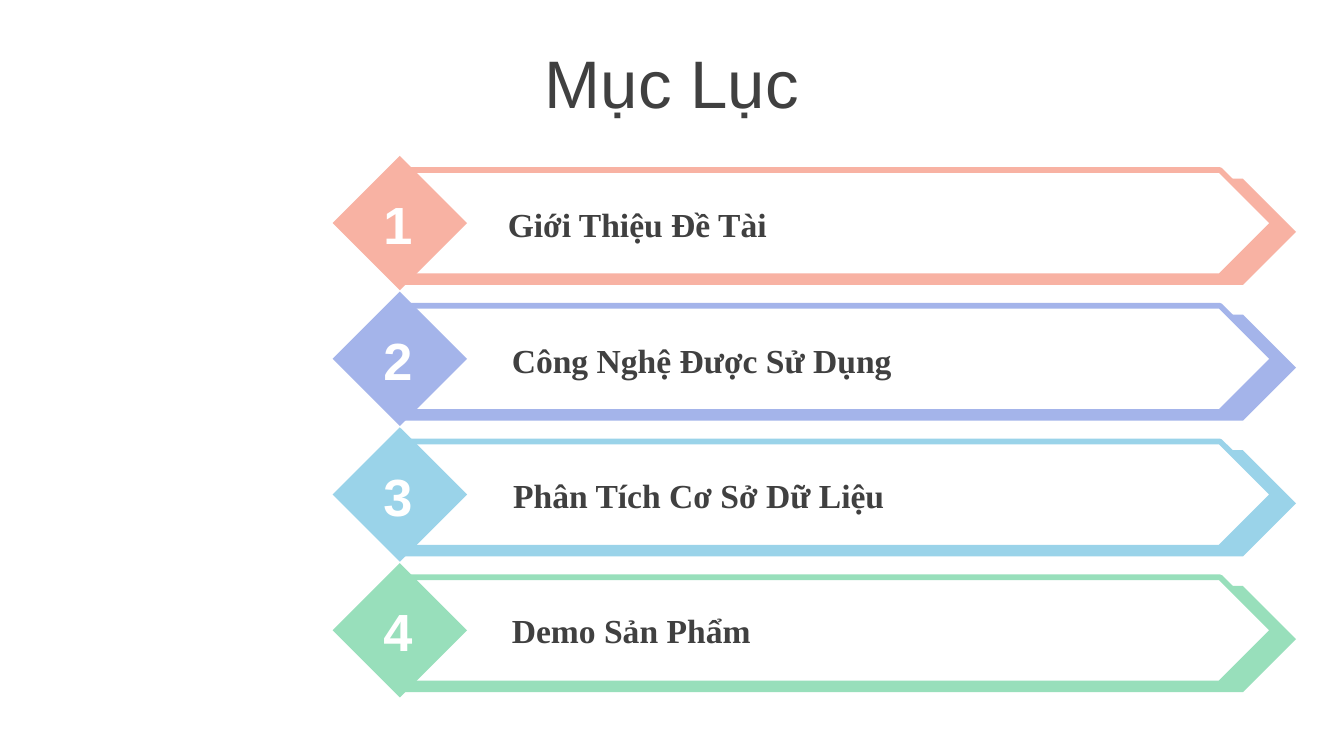
from dataclasses import dataclass

from pptx import Presentation
from pptx.dml.color import RGBColor as Rgb
from pptx.enum.shapes import MSO_SHAPE as Kind
from pptx.enum.text import MSO_ANCHOR as Anchor, PP_ALIGN as Align
from pptx.util import Inches, Pt


@dataclass(frozen=True)
class Theme:
    ink: str = "404040"
    white: str = "FFFFFF"
    tints: tuple = ("F8B2A3", "A4B4EA", "9AD3E9", "98DFBB")
    sans: str = "Arial"
    serif: str = "Times New Roman"
    title: int = 36
    digit: int = 28
    label: int = 18
    edge: int = 3


class Deck:
    """Places elements on a grid of square cells, 100 to the slide's width."""

    def __init__(self, theme):
        self.theme = theme
        self.prs = Presentation()
        self.prs.slide_width = Inches(10)
        self.prs.slide_height = Inches(10) * 9 // 16
        self.cell = self.prs.slide_width / 100
        self.slide = self.prs.slides.add_slide(self.prs.slide_layouts[6])

    def box(self, *cells):
        return [round(n * self.cell) for n in cells]

    def group(self):
        return self.slide.shapes.add_group_shape().shapes

    def shape(self, home, kind, place, fill, edge=None):
        item = home.add_shape(kind, *self.box(*place))
        item.shadow.inherit = False
        item.fill.solid()
        item.fill.fore_color.rgb = Rgb.from_string(fill)
        if edge:
            item.line.color.rgb = Rgb.from_string(edge)
            item.line.width = Pt(self.theme.edge)
        else:
            item.line.fill.background()

    def text(self, words, place, size, font, color, bold=False,
             align=Align.LEFT, anchor=Anchor.TOP):
        frame = self.slide.shapes.add_textbox(*self.box(*place)).text_frame
        frame.word_wrap = True
        frame.vertical_anchor = anchor
        para = frame.paragraphs[0]
        para.alignment = align
        run = para.add_run()
        run.text = words
        run.font.size = Pt(size)
        run.font.name = font
        run.font.bold = bold
        run.font.color.rgb = Rgb.from_string(color)

    def title(self, words):
        t = self.theme
        self.text(words, (0, 2.9, 100, 6.3), t.title, t.sans, t.ink,
                  align=Align.CENTER, anchor=Anchor.MIDDLE)

    def banner(self, num, top, tint):
        """Draw one arrow bar with its numbered diamond."""
        t = self.theme
        home = self.group()
        self.shape(home, Kind.PENTAGON, (30.03, top + 1.7, 66.4, 7.9), tint)
        self.shape(home, Kind.PENTAGON, (30.03, top + 1.05, 64.7, 7.9),
                   t.white, tint)
        self.shape(home, Kind.DIAMOND, (24.75, top, 10, 10), tint)
        self.text(str(num), (27.4, top + 2.2, 4.4, 5.7), t.digit, t.sans,
                  t.white, True, Align.CENTER, Anchor.MIDDLE)

    def label(self, words, left, top):
        t = self.theme
        self.text(words, (left, top, 52, 4), t.label, t.serif, t.ink, True)


def main():
    deck = Deck(Theme())
    deck.title("Mục Lục")
    items = (
        ("Giới Thiệu Đề Tài", 36.8),
        ("Công Nghệ Được Sử Dụng", 37.1),
        ("Phân Tích Cơ Sở Dữ Liệu", 37.2),
        ("Demo Sản Phẩm", 37.1),
    )
    for i, ((words, left), tint) in enumerate(zip(items, deck.theme.tints)):
        deck.banner(i + 1, 11.6 + i * 10.1, tint)
        deck.label(words, left, 14.7 + i * 10.07)
    deck.prs.save("out.pptx")


if __name__ == "__main__":
    main()
